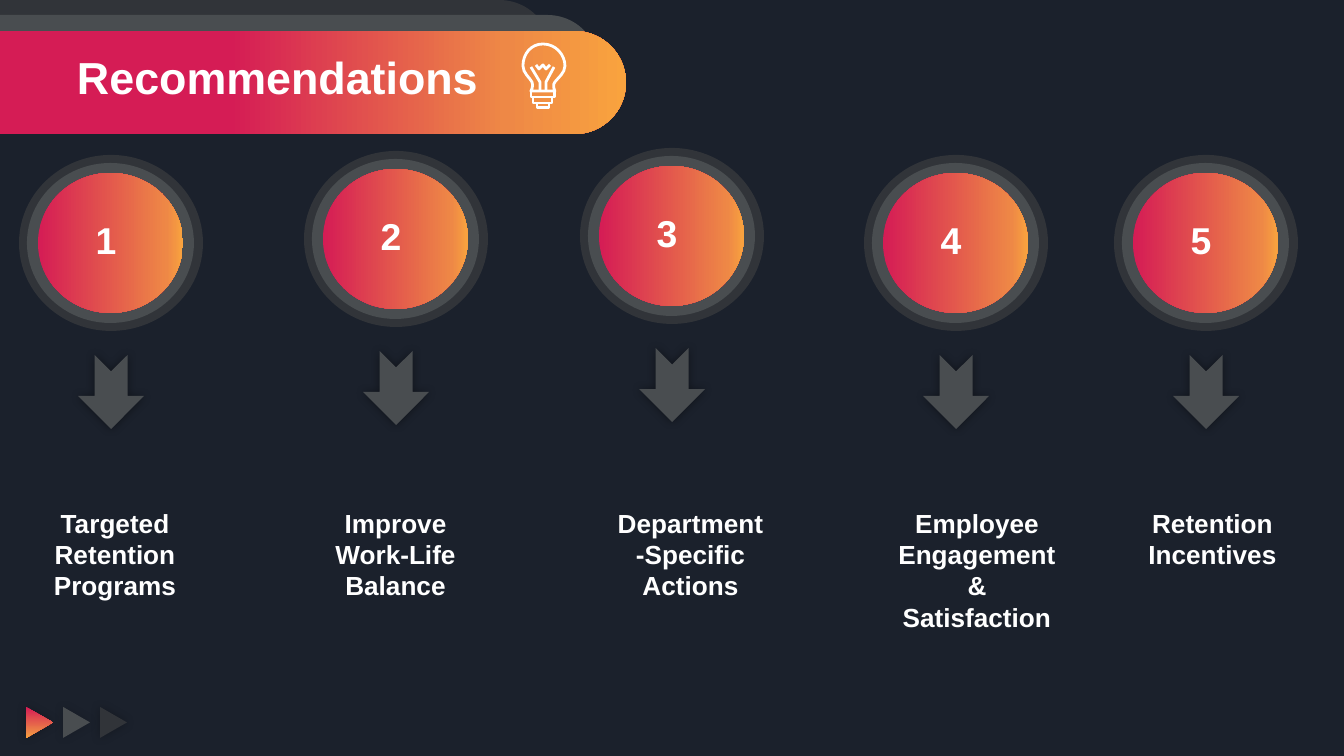
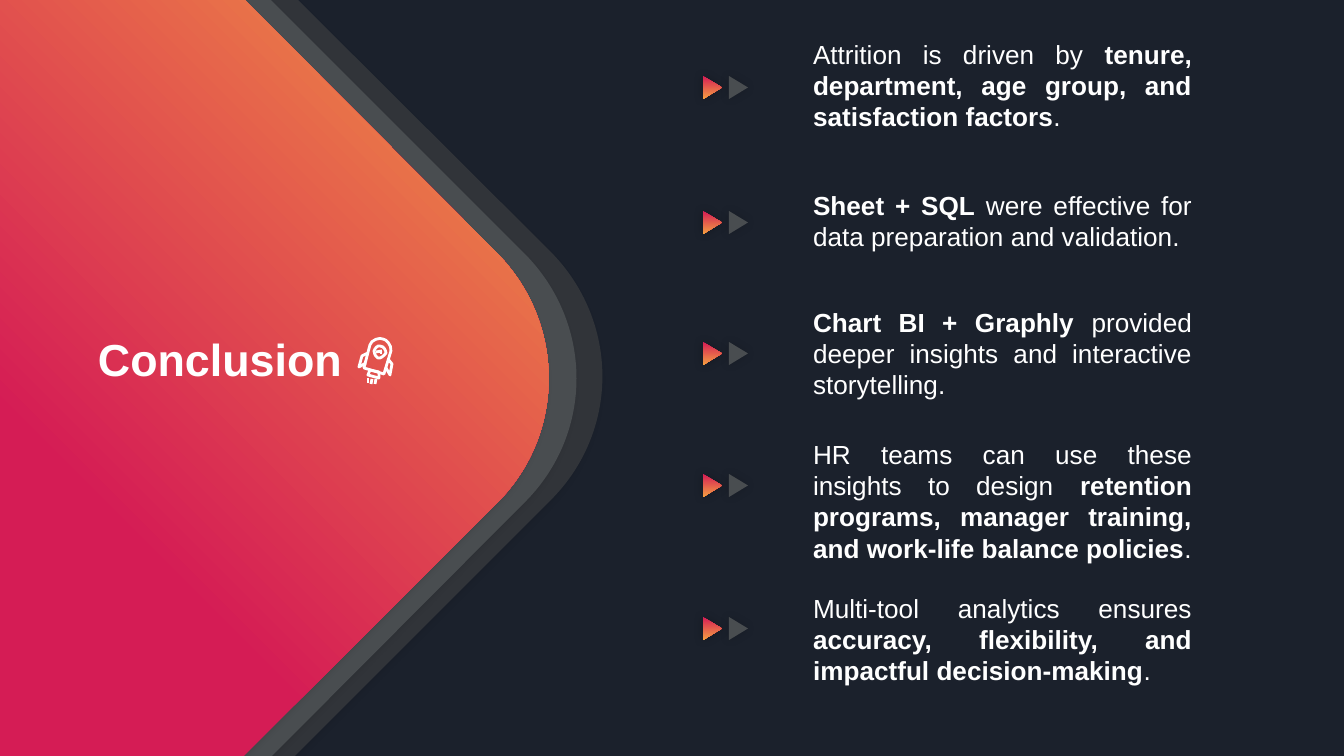
from math import sqrt

from lxml import etree
from pptx import Presentation
from pptx import util as u
from pptx.dml.color import RGBColor
from pptx.enum import shapes, text
from pptx.oxml.ns import qn

PX = 914400 / 134.4
WIDTH, HEIGHT = 1344, 756
FONT = "Arial"
COLORS = {
    "night": "1B212C", "dark": "313439", "grey": "494D50", "white": "FFFFFF",
    "pink": "D51C55", "orange": "EE8846", "amber": "F9A33E", "black": "000000",
}
# Gradients: (position in percent, colour)
BAND_FADE = [(0, "pink"), (44, "pink"), (83, "orange"), (100, "amber")]
DISC_FADE = [(0, "pink"), (89, "orange"), (100, "amber")]
TRIANGLE_FADE = [(0, "pink"), (83, "orange"), (100, "amber")]
LAYERS = ["dark", "grey", BAND_FADE]

# Shadows: opacity percent, blur pt, distance pt, direction degrees
ARROW_SHADOW = (40, 5, 0, 0)
STRONG_SHADOW = (25, 5, 0, 0)
SOFT_SHADOW = (15, 5, 0, 0)
CHEVRON_SHADOW = (15, 4, 3, 135)
TRIANGLES = [(TRIANGLE_FADE, STRONG_SHADOW), ("grey", SOFT_SHADOW), ("dark", STRONG_SHADOW)]

# Step: left, top, label, label box (left, top, width, height)
STEPS = [
    (19, 155, "Targeted Retention Programs", (43, 502, 144, 112)),
    (304, 151, "Improve Work-Life Balance", (324, 502, 143, 112)),
    (580, 148, "Department-Specific Actions", (604, 502, 173, 112)),
    (864, 155, "Employee Engagement & Satisfaction", (885, 502, 184, 145)),
    (1114, 155, "Retention Incentives", (1135, 502, 155, 112)),
]
DISCS = [(0, 0, 184, 176, "dark"), (8, 8, 167, 160, "grey"), (19, 18, 145, 140, DISC_FADE)]
BANDS = [(0, 633), (15, 681), (31, 708)]  # top, width

# Finding: marker top, text top, text height, runs of (words, bold)
FINDINGS = [
    (78, 33, 129, [("Attrition is driven by ", False),
                   ("tenure, department, age group, and satisfaction factors", True),
                   (".", False)]),
    (213, 184, 112, [("Sheet + SQL", True),
                     (" were effective for data preparation and validation.", False)]),
    (344, 301, 105, [("Chart BI + Graphly", True),
                     (" provided deeper insights and interactive storytelling.", False)]),
    (476, 433, 105, [("HR teams can use these insights to design ", False),
                     ("retention programs, manager training, and work-life balance policies", True),
                     (".", False)]),
    (619, 587, 105, [("Multi-tool analytics ensures ", False),
                     ("accuracy, flexibility, and impactful decision-making", True),
                     (".", False)]),
]
# Chevron: top corner x, bend x and y, curve control x, bottom corner x
CHEVRONS = [(251, 550, 251, 620, 277), (224, 524, 253, 594, 254), (198, 497, 253, 566, 226)]

# Outlines: a pair is a corner, six numbers are a cubic curve
BULB = {
    "closed": [[(531, 91), (531, 91, 534, 86, 532, 82), (530, 78, 523, 73, 523, 66),
                (523, 54, 531, 44, 543, 44), (556, 44, 565, 55, 565, 66),
                (565, 73, 558, 78, 555, 82), (552, 85, 555, 91, 555, 91)]],
    "open": [[(540, 90), (540, 82), (531, 67)], [(546, 90), (546, 82), (554, 67)],
             [(536, 65), (539, 69), (543, 65), (546, 69), (550, 65)]],
    "lines": [(532, 97, 554, 97), (535, 103, 551, 103)],
    "boxes": [(531, 91, 24, 6), (533, 97, 19, 6), (537, 103, 12, 5)],
}
ROCKET = {
    "closed": [[(384, 374), (391, 351), (392, 345, 386, 339, 383, 339),
                (380, 337, 371, 340, 370, 345), (364, 368)],
               [(370, 370), (379, 372), (379, 378), (368, 375)],
               [(374, 351), (375, 348, 378, 345, 380, 346), (384, 346, 386, 351, 386, 353),
                (384, 356, 380, 359, 378, 358), (375, 356, 374, 353, 374, 351)]],
    "open": [[(368, 353), (362, 356), (359, 367), (366, 363)],
             [(388, 359), (392, 364), (390, 375), (386, 368)]],
    "lines": [(368, 378, 368, 383), (376, 379, 375, 384), (372, 379, 371, 384),
              (382, 351, 376, 352), (382, 353, 380, 353)],
    "boxes": [],
}


def emu(*lengths):
    return [u.Emu(round(length * PX)) for length in lengths]


def color(name):
    return RGBColor.from_string(COLORS[name])


def paint(shape, fill=None, shadow=None, outlined=False):
    """Fill with a colour name, a list of gradient stops, or nothing."""
    if fill is None:
        shape.fill.background()
    elif isinstance(fill, str):
        shape.fill.solid()
        shape.fill.fore_color.rgb = color(fill)
    else:
        shape.fill.gradient()
        shape.fill.gradient_angle = 0
        stops = shape._element.spPr.find(".//" + qn("a:gsLst"))
        for stop in list(stops):
            stops.remove(stop)
        for position, name in fill:
            stop = etree.SubElement(stops, qn("a:gs"), pos=str(position * 1000))
            etree.SubElement(stop, qn("a:srgbClr"), val=COLORS[name])
    if outlined:
        stroke(shape.line)
    else:
        shape.line.fill.background()
    shape.shadow.inherit = False
    if shadow:
        opacity, blur, distance, direction = shadow
        effects = shape._element.spPr.find(qn("a:effectLst"))
        outer = etree.SubElement(
            effects, qn("a:outerShdw"), blurRad=str(u.Pt(blur)), dist=str(u.Pt(distance)),
            dir=str(direction * 60000), algn="ctr", rotWithShape="0")
        tint = etree.SubElement(outer, qn("a:srgbClr"), val=COLORS["black"])
        etree.SubElement(tint, qn("a:alpha"), val=str(opacity * 1000))


def stroke(line):
    line.color.rgb = color("white")
    line.width = u.Pt(1.5)


def add_preset(parent, kind, place, fill=None, shadow=None, rotation=0, outlined=False):
    shape = parent.shapes.add_shape(kind, *emu(*place))
    shape.rotation = rotation
    paint(shape, fill, shadow, outlined)
    return shape


def add_words(parent, place, runs, size=14, align=text.PP_ALIGN.LEFT, spacing=None):
    """Add a text box from runs of (words, bold)."""
    box = parent.shapes.add_textbox(*emu(*place))
    frame = box.text_frame
    frame.word_wrap = True
    frame.margin_left = frame.margin_right = emu(10)[0]
    frame.margin_top = frame.margin_bottom = emu(5)[0]
    para = frame.paragraphs[0]
    para.alignment = align
    if spacing:
        para.line_spacing = spacing
    for words, bold in runs:
        span = para.add_run()
        span.text = words
        span.font.name = FONT
        span.font.size = u.Pt(size)
        span.font.bold = bold
        span.font.color.rgb = color("white")


def add_title(page, place, words):
    add_words(page, place, [(words, True)], size=24, spacing=0.9)


def to_points(outline):
    """Turn each part of an outline into a list of complex points."""
    return [[complex(*part[i:i + 2]) for i in range(0, len(part), 2)] for part in outline]


def add_outline(parent, parts, close=True):
    """Join the end points with straight sides, then bend the sides that are curves."""
    corners = [emu(part[-1].real, part[-1].imag) for part in parts]
    builder = parent.shapes.build_freeform(*corners[0], scale=1.0)
    builder.add_line_segments(corners[1:], close=close)
    shape = builder.convert_to_shape()
    sides = list(shape._element.spPr.iter(qn("a:lnTo")))
    for side, part in zip(sides, parts[1:]):
        if len(part) == 3:
            side.tag = qn("a:cubicBezTo")
            for i, control in enumerate(part[:2]):
                x, y = emu(control.real, control.imag)
                side.insert(i, etree.Element(
                    qn("a:pt"), x=str(x - shape.left), y=str(y - shape.top)))
    return shape


def add_icon(page, icon):
    group = page.shapes.add_group_shape()
    for kind in ("closed", "open"):
        for outline in icon[kind]:
            paint(add_outline(group, to_points(outline), kind == "closed"), outlined=True)
    for ends in icon["lines"]:
        line = group.shapes.add_connector(shapes.MSO_CONNECTOR.STRAIGHT, *emu(*ends))
        stroke(line.line)
        etree.SubElement(line._element.spPr, qn("a:effectLst"))
    for place in icon["boxes"]:
        add_preset(group, shapes.MSO_SHAPE.RECTANGLE, place, outlined=True)


def add_triangles(page, left, top, width, height, pitch, count):
    group = page.shapes.add_group_shape()
    for i, (fill, shadow) in enumerate(TRIANGLES[:count]):
        add_preset(group, shapes.MSO_SHAPE.ISOSCELES_TRIANGLE,
                   (left + i * pitch, top, width, height), fill, shadow, rotation=90)


def add_step(page, number, left, top):
    group = page.shapes.add_group_shape()
    for inset_x, inset_y, width, height, fill in DISCS:
        add_preset(group, shapes.MSO_SHAPE.OVAL,
                   (left + inset_x, top + inset_y, width, height), fill)
    add_preset(group, shapes.MSO_SHAPE.NOTCHED_RIGHT_ARROW, (left + 55, top + 204, 74, 66),
               "grey", ARROW_SHADOW, rotation=90)
    add_words(group, (left + 59, top + 62, 56, 59), [(str(number), True)],
              size=20, align=text.PP_ALIGN.CENTER, spacing=0.9)


def add_chevron(page, chevron, fill):
    """Draw the outline turned 45 degrees, then rotate it back so the gradient runs diagonally."""
    top_x, bend_x, bend_y, control_x, bottom_x = chevron
    parts = to_points([
        (-36, -47), (top_x, -47), (bend_x, bend_y),
        (control_x, bend_y + 70, control_x, bend_y + 181, bend_x, bend_y + 250),
        (bottom_x, 774), (-36, 774)])
    turn = complex(1, 1) / sqrt(2)
    turned = [[point * turn for point in part] for part in parts]
    xs = [part[-1].real for part in turned]
    ys = [part[-1].imag for part in turned]
    centre = complex(min(xs) + max(xs), min(ys) + max(ys)) / 2
    shift = centre / turn - centre
    shape = add_outline(page, [[point + shift for point in part] for part in turned])
    shape.rotation = 315
    paint(shape, fill, CHEVRON_SHADOW)


def add_page(deck):
    page = deck.slides.add_slide(deck.slide_layouts[6])
    page.background.fill.solid()
    page.background.fill.fore_color.rgb = color("night")
    return page


def build_recommendations(deck):
    page = add_page(deck)
    for (top, width), fill in zip(BANDS, LAYERS):
        band = add_preset(page, shapes.MSO_SHAPE.ROUNDED_RECTANGLE, (-82, top, width, 103), fill)
        band.adjustments[0] = 0.5
    add_icon(page, BULB)
    add_title(page, (67, 51, 589, 63), "Recommendations")
    for number, (left, top, label, place) in enumerate(STEPS, 1):
        add_step(page, number, left, top)
        add_words(page, place, [(label, True)], align=text.PP_ALIGN.CENTER)
    add_triangles(page, 24, 709, 31, 27, pitch=37, count=3)


def build_conclusion(deck):
    page = add_page(deck)
    for chevron, fill in zip(CHEVRONS, LAYERS):
        add_chevron(page, chevron, fill)
    add_title(page, (88, 333, 312, 51), "Conclusion")
    add_icon(page, ROCKET)
    for marker_top, top, height, runs in FINDINGS:
        add_triangles(page, 701, marker_top, 23, 19, pitch=26, count=2)
        add_words(page, (803, top, 399, height), runs, align=text.PP_ALIGN.JUSTIFY)


def main():
    deck = Presentation()
    deck.slide_width, deck.slide_height = emu(WIDTH, HEIGHT)
    build_recommendations(deck)
    build_conclusion(deck)
    deck.save("out.pptx")


if __name__ == "__main__":
    main()
